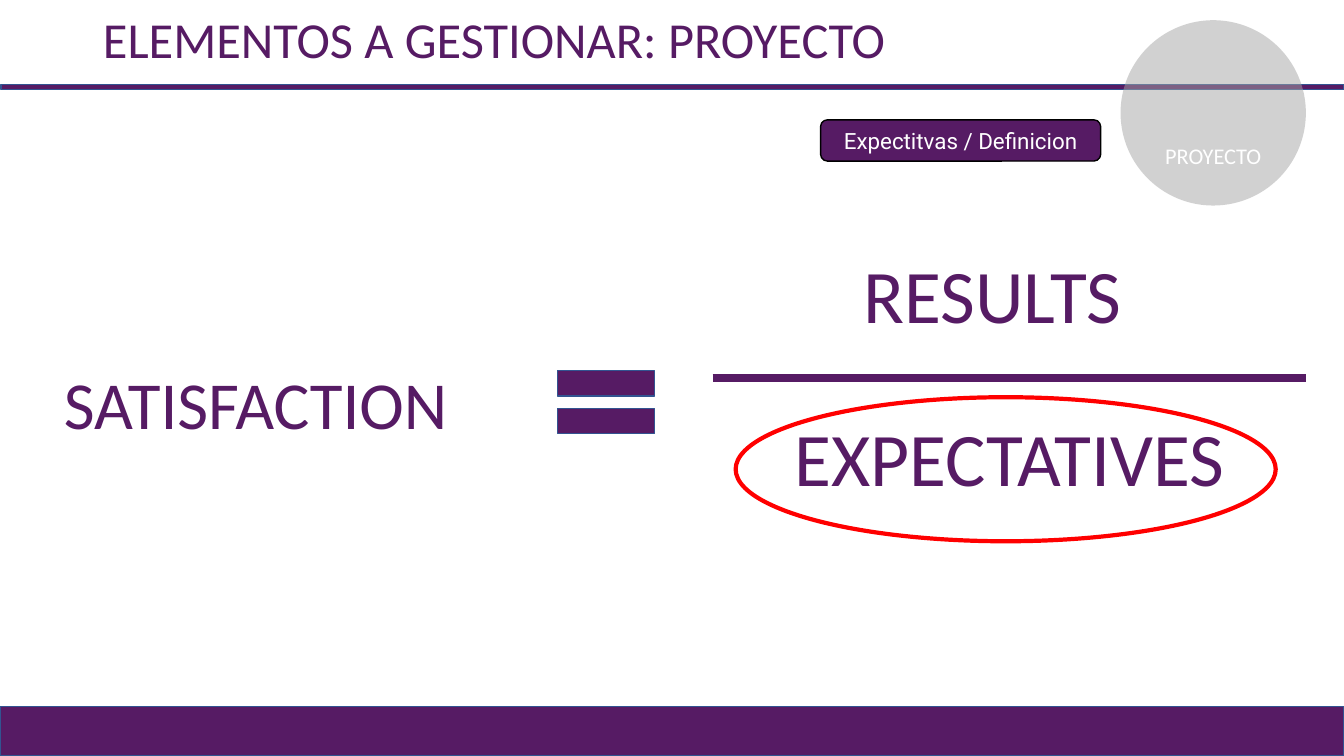
from lxml import etree
from pptx import Presentation
from pptx.dml.color import RGBColor
from pptx.enum.shapes import MSO_CONNECTOR, MSO_SHAPE
from pptx.enum.text import MSO_ANCHOR, PP_ALIGN
from pptx.oxml.ns import qn
from pptx.util import Cm, Pt

RECTANGLE = MSO_SHAPE.RECTANGLE
ROUNDED = MSO_SHAPE.ROUNDED_RECTANGLE
CIRCLE = MSO_SHAPE.FLOWCHART_CONNECTOR
EQUAL = MSO_SHAPE.MATH_EQUAL
ELLIPSE = MSO_SHAPE.OVAL
STRAIGHT = MSO_CONNECTOR.STRAIGHT
MIDDLE = MSO_ANCHOR.MIDDLE
LEFT, CENTER = PP_ALIGN.LEFT, PP_ALIGN.CENTER

PURPLE, BLUE, GRAY = "561B64", "325491", "A5A5A5"
WHITE, BLACK, RED = "FFFFFF", "000000", "FF0000"


def color(value):
    return RGBColor.from_string(value)


class SlideBuilder:
    font = "Calibri"

    def __init__(self, presentation):
        self.slide = presentation.slides.add_slide(presentation.slide_layouts[5])

    def place(self, shape, box):
        for name, value in zip(("left", "top", "width", "height"), box):
            setattr(shape, name, Cm(value))

    def label(self, shape, text, size, ink, align=CENTER, font=None):
        frame = shape.text_frame
        frame.word_wrap = True
        frame.vertical_anchor = MIDDLE
        paragraph = frame.paragraphs[0]
        paragraph.alignment = align
        run = paragraph.add_run()
        run.text = text
        run.font.color.rgb = color(ink)
        for name, value in {"name": font or self.font, "size": Pt(size)}.items():
            setattr(run.font, name, value)
        return paragraph

    def title(self, text, box):
        shape = self.slide.shapes.title
        self.place(shape, box)
        paragraph = self.label(shape, text, 36, PURPLE, LEFT)
        paragraph.line_spacing = 0.9

    def shape(self, kind, box, fill=None, line=None, weight=1, alpha=None):
        shape = self.slide.shapes.add_shape(kind, *map(Cm, box))
        shape.shadow.inherit = False
        if fill:
            shape.fill.solid()
            shape.fill.fore_color.rgb = color(fill)
        else:
            shape.fill.background()
        if line:
            shape.line.color.rgb = color(line)
            shape.line.width = Pt(weight)
        else:
            shape.line.fill.background()
        if alpha:
            tint = shape._element.spPr.find(".//" + qn("a:srgbClr"))
            etree.SubElement(tint, qn("a:alpha")).set("val", str(alpha * 1000))
        return shape

    def term(self, text, left, top, size):
        shape = self.shape(ROUNDED, (left, top, 16.15, 3.18))
        self.label(shape, text, size, PURPLE)

    def line(self, left, right, top, weight):
        connector = self.slide.shapes.add_connector(
            STRAIGHT, Cm(left), Cm(top), Cm(right), Cm(top))
        connector.line.color.rgb = color(PURPLE)
        connector.line.width = Pt(weight)
        etree.SubElement(connector._element.spPr, qn("a:effectLst"))


def main():
    presentation = Presentation()
    presentation.slide_width = Cm(33.87)
    presentation.slide_height = Cm(19.05)
    builder = SlideBuilder(presentation)

    builder.title("ELEMENTOS A GESTIONAR: PROYECTO", (2.34, 0.23, 29.21, 1.68))
    builder.shape(RECTANGLE, (0, 17.81, 33.87, 1.24), PURPLE, BLUE)
    builder.shape(RECTANGLE, (0.03, 2.13, 33.84, 0.13), PURPLE, BLUE)

    badge = builder.shape(CIRCLE, (28.24, 0.51, 4.67, 4.67), GRAY, alpha=50)
    badge.text_frame.margin_top = Cm(2.26)
    builder.label(badge, "PROYECTO", 16, WHITE)
    tag = builder.shape(ROUNDED, (20.68, 3.02, 7.06, 1.04), PURPLE, BLACK)
    builder.label(tag, "Expectitvas / Definicion", 16, WHITE, font="Roboto")

    builder.term("SATISFACTION", -1.63, 8.56, 48)
    builder.shape(EQUAL, (13.61, 8.79, 3.33, 2.69), PURPLE, BLUE)
    builder.term("EXPECTATIVES", 17.37, 9.91, 54)
    builder.term("RESULTS", 16.94, 5.79, 54)
    builder.line(17.96, 32.92, 9.53, 6)
    builder.shape(ELLIPSE, (18.54, 10.01, 13.61, 3.63), line=RED, weight=3)

    presentation.save("out.pptx")


if __name__ == "__main__":
    main()
